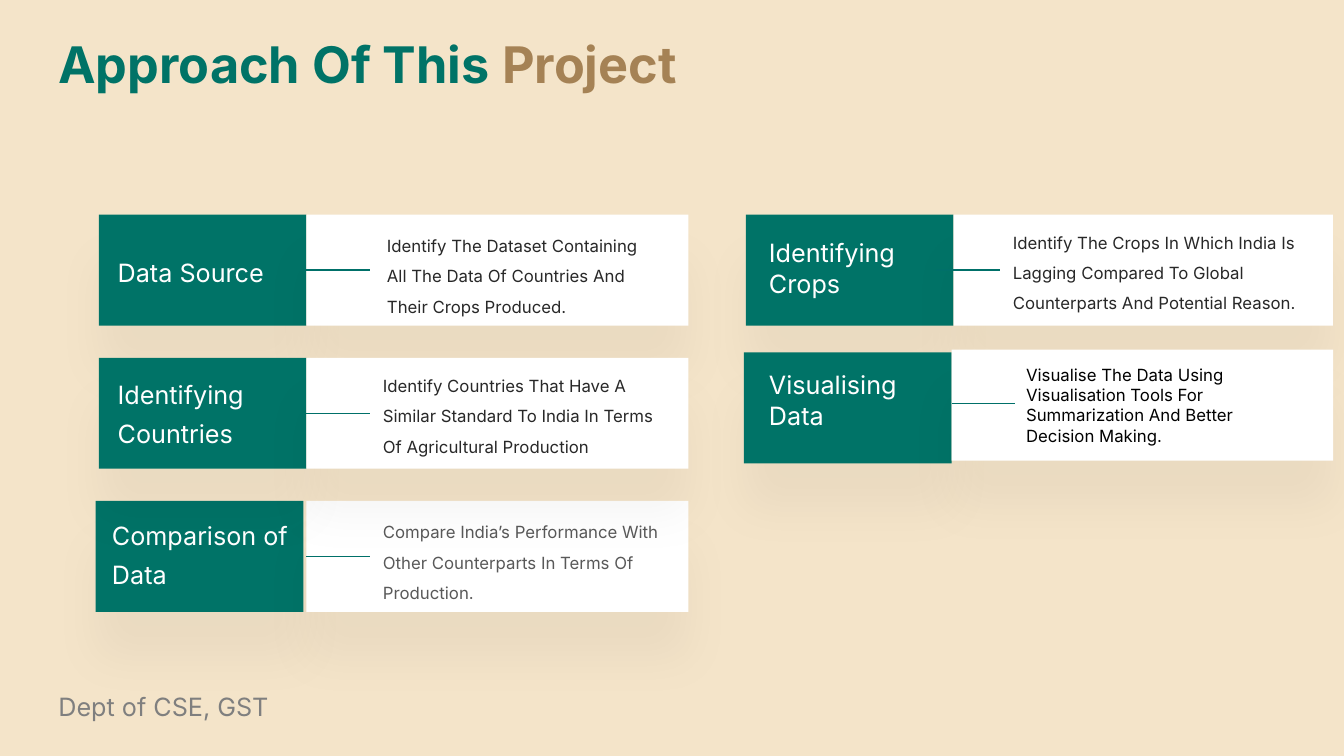
import pptx
import pptx.dml.color
import pptx.enum.shapes
import pptx.oxml
import pptx.oxml.ns
import pptx.util

Pt = pptx.util.Pt

COLORS = {
    "sand": "F4E4C9",
    "green": "007367",
    "teal": "007069",
    "brown": "A58255",
    "white": "FFFFFF",
    "ink": "282828",
    "slate": "595959",
    "black": "000000",
    "gray": "7F7F7F",
}
FONT = "Inter"
TITLE = [("Approach Of This ", "green"), ("Project", "brown")]
FOOTER = [("Dept of CSE, GST", "gray")]

TAB_WIDTH, BAND_HEIGHT, LINK_LENGTH = 148.3, 79.2, 45.4
LEFT_CARD, FIRST_ROW, ROW_PITCH = 218.9, 153.4, 102.24

STEPS = [
    dict(
        heading="Data Source",
        detail="Identify The Dataset Containing All The Data Of Countries And Their Crops Produced.",
        ink="ink", tab=(70.6, FIRST_ROW), card=(LEFT_CARD, FIRST_ROW, 272.9),
        link=(LEFT_CARD, FIRST_ROW + BAND_HEIGHT / 2),
        heading_box=(77, 173.5, 144, 51.8), detail_box=(269.3, 157.7, 203, 49),
        heading_spacing=1.3, detail_spacing=1.5,
    ),
    dict(
        heading="Comparison of Data",
        detail="Compare India’s Performance With Other Counterparts In Terms Of Production.",
        ink="slate", tab=(68.4, FIRST_ROW + 2 * ROW_PITCH),
        card=(LEFT_CARD, FIRST_ROW + 2 * ROW_PITCH, 272.9),
        link=(LEFT_CARD, FIRST_ROW + 2 * ROW_PITCH + BAND_HEIGHT / 2),
        heading_box=(72.9, 361.4, 144, 79.2), detail_box=(266.4, 362.2, 214.6, 67.7),
        heading_spacing=1.3, detail_spacing=1.5,
    ),
    dict(
        heading="Identifying Countries",
        detail="Identify Countries That Have A Similar Standard To India In Terms Of Agricultural Production",
        ink="ink", tab=(70.6, FIRST_ROW + ROW_PITCH),
        card=(LEFT_CARD, FIRST_ROW + ROW_PITCH, 272.9),
        link=(LEFT_CARD, FIRST_ROW + ROW_PITCH + BAND_HEIGHT / 2),
        heading_box=(77, 260.6, 137.5, 68.4), detail_box=(266.4, 257.8, 214.6, 77),
        heading_spacing=1.3, detail_spacing=1.5,
    ),
    dict(
        heading="Identifying Crops",
        detail="Identify The Crops In Which India Is Lagging Compared To Global Counterparts And Potential Reason.",
        ink="ink", tab=(532.8, FIRST_ROW), card=(681.1, FIRST_ROW, 270.9),
        link=(668.9, FIRST_ROW + BAND_HEIGHT / 2),
        heading_box=(542.2, 166.3, 126.7, 51.1), detail_box=(716.4, 155.5, 228.2, 69.8),
        heading_spacing=1, detail_spacing=1.5,
    ),
    dict(
        heading="Visualising Data",
        detail="Visualise The Data Using Visualisation Tools For Summarization And Better Decision Making.",
        ink="black", tab=(531.4, 251.8), card=(679.7, 249.8, 272.6),
        link=(679.7, 288),
        heading_box=(542.2, 260.6, 126.7, 51.1), detail_box=(725.8, 257, 210.2, 65.5),
        heading_spacing=1, detail_spacing=1,
    ),
]

SHADOW = (
    f'<a:effectLst {pptx.oxml.ns.nsdecls("a")}>'
    f'<a:outerShdw blurRad="{Pt(33)}" dist="{Pt(33)}" dir="5400000" algn="t" rotWithShape="0">'
    '<a:srgbClr val="000000"><a:alpha val="4000"/></a:srgbClr>'
    "</a:outerShdw></a:effectLst>"
)
NO_EFFECT = f'<a:effectLst {pptx.oxml.ns.nsdecls("a")}/>'


def rgb(color):
    return pptx.dml.color.RGBColor.from_string(COLORS[color])


def add_text(slide, runs, box, size=12, bold=False, spacing=1):
    frame = slide.shapes.add_textbox(*map(Pt, box)).text_frame
    frame.word_wrap = True
    paragraph = frame.paragraphs[0]
    paragraph.line_spacing = spacing
    for words, color in runs:
        run = paragraph.add_run()
        run.text = words
        run.font.name = FONT
        run.font.size = Pt(size)
        run.font.bold = bold
        run.font.color.rgb = rgb(color)


def add_band(slide, left, top, width, color):
    band = slide.shapes.add_shape(
        pptx.enum.shapes.MSO_SHAPE.RECTANGLE, Pt(left), Pt(top), Pt(width), Pt(BAND_HEIGHT))
    band.fill.solid()
    band.fill.fore_color.rgb = rgb(color)
    band.line.fill.background()
    band._element.spPr.append(pptx.oxml.parse_xml(SHADOW))


def add_link(slide, left, y):
    link = slide.shapes.add_connector(
        pptx.enum.shapes.MSO_CONNECTOR.STRAIGHT, Pt(left), Pt(y), Pt(left + LINK_LENGTH), Pt(y))
    link.line.color.rgb = rgb("teal")
    link.line.width = Pt(1)
    link._element.spPr.append(pptx.oxml.parse_xml(NO_EFFECT))


def add_step(slide, step):
    add_band(slide, *step["tab"], TAB_WIDTH, "green")
    add_band(slide, *step["card"], "white")
    add_link(slide, *step["link"])
    add_text(slide, [(step["heading"], "white")], step["heading_box"],
             size=18, spacing=step["heading_spacing"])
    add_text(slide, [(step["detail"], step["ink"])], step["detail_box"],
             spacing=step["detail_spacing"])


def main():
    deck = pptx.Presentation()
    deck.slide_width, deck.slide_height = Pt(960), Pt(540)
    slide = deck.slides.add_slide(deck.slide_layouts[6])
    slide.background.fill.solid()
    slide.background.fill.fore_color.rgb = rgb("sand")
    add_text(slide, TITLE, (34.6, 20.2, 656, 51), size=36, bold=True)
    for step in STEPS:
        add_step(slide, step)
    add_text(slide, FOOTER, (34.6, 490.3, 377.3, 28.8), size=18)
    deck.save("out.pptx")


if __name__ == "__main__":
    main()
